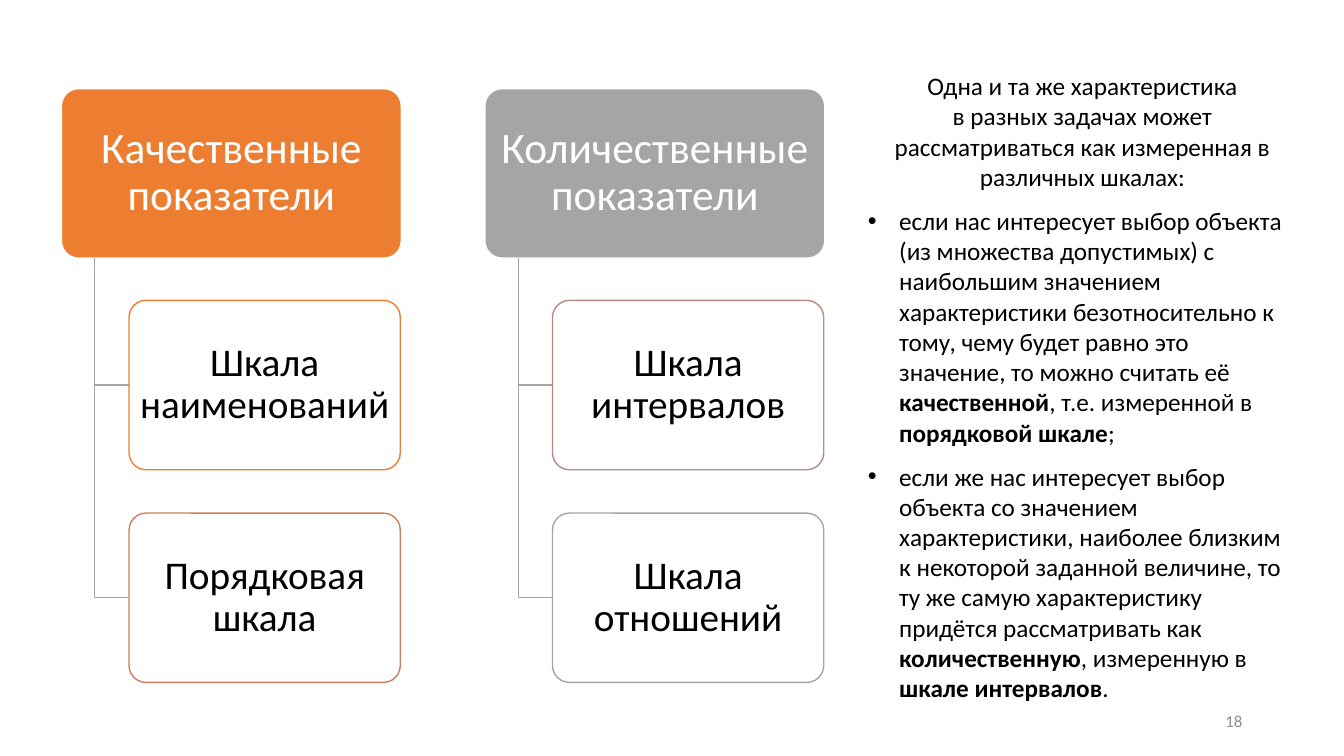
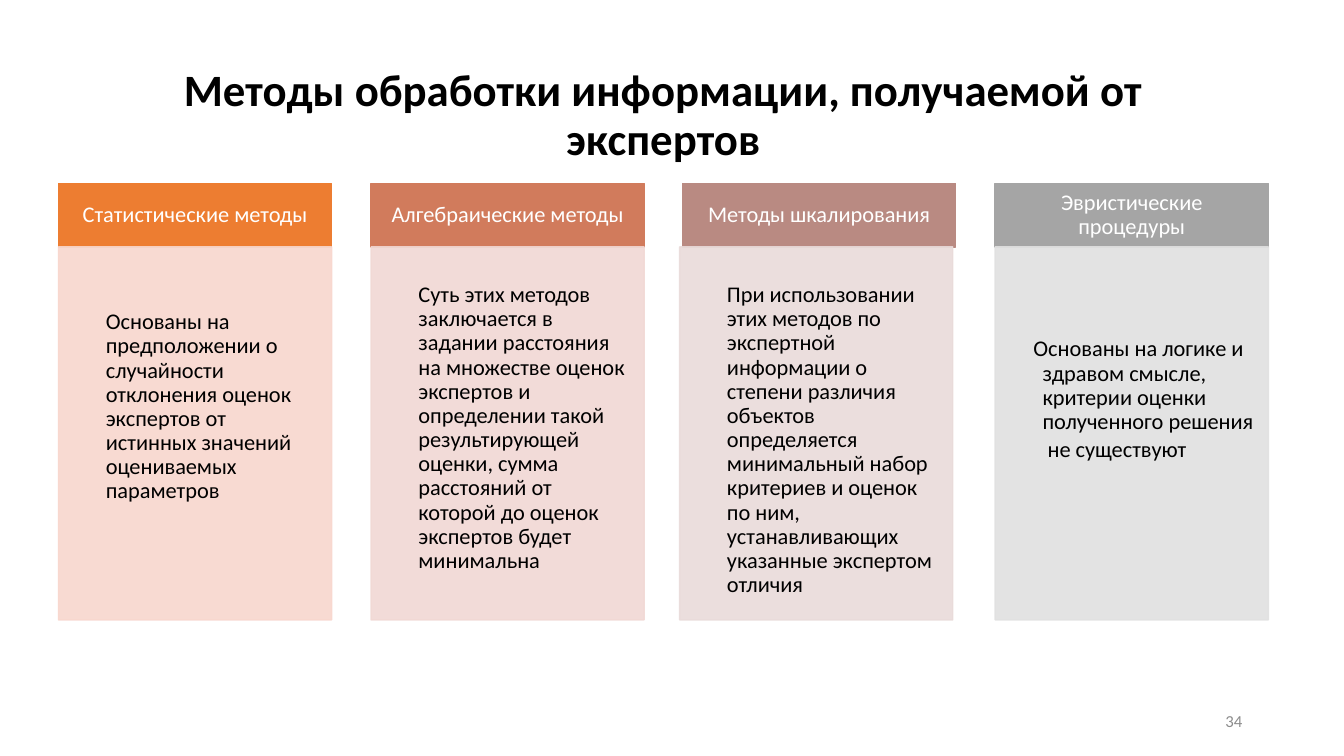
from lxml import etree
from pptx import Presentation
from pptx.dml.color import RGBColor
from pptx.enum.shapes import MSO_SHAPE
from pptx.enum.text import MSO_ANCHOR, PP_ALIGN
from pptx.oxml.ns import qn
from pptx.util import Pt

PX = 9144
FONT = "Calibri"
RECTANGLE = MSO_SHAPE.RECTANGLE
ROUNDED = MSO_SHAPE.ROUNDED_RECTANGLE
TOP, MIDDLE = MSO_ANCHOR.TOP, MSO_ANCHOR.MIDDLE
LEFT, CENTER, RIGHT = PP_ALIGN.LEFT, PP_ALIGN.CENTER, PP_ALIGN.RIGHT
COLORS = {
    "white": "FFFFFF", "black": "000000", "number": "8C8C8C",
    "orange": "ED7D31", "copper": "D17B5C", "rose": "B98A82", "gray": "A5A5A5",
    "orange_tint": "F8D7CE", "copper_tint": "F1D8D4",
    "rose_tint": "E9DBDA", "gray_tint": "E1E1E1",
}


def add_box(slide, place, insets, anchor=MIDDLE, kind=None, fill=None, line=None):
    position = [value * PX for value in place]
    if kind is None:
        shape = slide.shapes.add_textbox(*position)
    else:
        shape = slide.shapes.add_shape(kind, *position)
        shape.shadow.inherit = False
        shape.fill.solid()
        shape.fill.fore_color.rgb = RGBColor.from_string(COLORS[fill])
        shape.line.color.rgb = RGBColor.from_string(COLORS[line])
        shape.line.width = Pt(1)
    frame = shape.text_frame
    frame.word_wrap = True
    frame.vertical_anchor = anchor
    frame.margin_left, frame.margin_top, frame.margin_right, frame.margin_bottom = [
        value * PX for value in insets]
    return shape


def add_text(shape, runs, size, color="black", align=CENTER, spacing=0.9,
             before=0, left=0, indent=0, bullet=None):
    frame = shape.text_frame
    paragraph = frame.paragraphs[0] if not frame.text else frame.add_paragraph()
    paragraph.alignment = align
    paragraph.line_spacing = spacing
    paragraph.space_before = Pt(before)
    properties = paragraph._p.get_or_add_pPr()
    properties.set("marL", str(left * PX))
    properties.set("indent", str(indent * PX))
    if bullet:
        etree.SubElement(properties, qn("a:buFont"), typeface="Arial")
        etree.SubElement(properties, qn("a:buChar"), char=bullet)
    for text, bold in runs:
        run = paragraph.add_run()
        run.text = text
        run.font.name = FONT
        run.font.size = Pt(size)
        run.font.bold = bold
        run.font.color.rgb = RGBColor.from_string(COLORS[color])


presentation = Presentation()
presentation.slide_width = 1333 * PX
presentation.slide_height = 750 * PX
blank = presentation.slide_layouts[6]
scales_slide = presentation.slides.add_slide(blank)
methods_slide = presentation.slides.add_slide(blank)
TEXT_INSETS = (10, 5, 10, 5)

SCALE_INSETS = (6, 4, 6, 4)
BRANCH_HEIGHT = 168
scale_groups = [
    ("Качественные показатели", "orange",
     [("Шкала наименований", "orange"), ("Порядковая шкала", "copper")]),
    ("Количественные показатели", "gray",
     [("Шкала интервалов", "rose"), ("Шкала отношений", "gray")]),
]
for column, (heading, color, scales) in enumerate(scale_groups):
    x, y = 61 + 420 * column, 88
    root = add_box(scales_slide, (x, y, 337, BRANCH_HEIGHT), SCALE_INSETS,
                   kind=ROUNDED, fill=color, line="white")
    root.adjustments[0] = 0.1
    add_text(root, [(heading, False)], 31, "white")
    for row, (name, outline) in enumerate(scales, 1):
        scale_top = y + 421 * row // 2
        trunk_x, branch_x = x + 33, x + 67
        branch_y = scale_top + BRANCH_HEIGHT // 2
        builder = scales_slide.shapes.build_freeform(trunk_x, y + BRANCH_HEIGHT, PX)
        builder.add_line_segments([(trunk_x, branch_y), (branch_x, branch_y)], close=False)
        elbow = builder.convert_to_shape()
        elbow.shadow.inherit = False
        elbow.fill.background()
        elbow.line.color.rgb = RGBColor.from_string(COLORS["gray"])
        elbow.line.width = Pt(1)
        scale = add_box(scales_slide, (branch_x, scale_top, 269, BRANCH_HEIGHT),
                        SCALE_INSETS, kind=ROUNDED, fill="white", line=outline)
        scale.adjustments[0] = 0.1
        add_text(scale, [(name, False)], 28)

explanation = add_box(scales_slide, (851, 65, 445, 645), TEXT_INSETS, TOP)
for text in [
    "Одна и та же характеристика",
    "в разных задачах может рассматриваться как измеренная в различных шкалах:",
]:
    add_text(explanation, [(text, False)], 18, spacing=1.0)
for runs in [
    [("если нас интересует выбор объекта (из множества допустимых) с наибольшим "
      "значением характеристики безотносительно к тому, чему будет равно это "
      "значение, то можно считать её ", False),
     ("качественной", True), (", т.е. измеренной в ", False),
     ("порядковой шкале", True), (";", False)],
    [("если же нас интересует выбор объекта со значением характеристики, наиболее "
      "близким к некоторой заданной величине, то ту же самую характеристику "
      "придётся рассматривать как ", False),
     ("количественную", True), (", измеренную в ", False),
     ("шкале интервалов", True), (".", False)],
]:
    add_text(explanation, runs, 18, align=LEFT, spacing=1.0, before=9.8,
             left=31, indent=-31, bullet="•")

title = add_box(methods_slide, (83, 71, 1150, 89), TEXT_INSETS)
add_text(title, [("Методы обработки информации, получаемой от экспертов", True)], 32)

methods = [
    ("Статистические методы", "orange", 0, 63,
     [("Основаны на предположении о случайности отклонения оценок экспертов от "
       "истинных значений оцениваемых параметров", 38, 0)]),
    ("Алгебраические методы", "copper", 0, 36,
     [("Суть этих методов заключается в задании расстояния на множестве оценок "
       "экспертов и определении такой результирующей оценки, сумма расстояний от "
       "которой до оценок экспертов будет минимальна", 38, 0)]),
    ("Методы шкалирования", "rose", -3, 36,
     [("При использовании этих методов по экспертной информации о степени различия "
       "объектов определяется минимальный набор критериев и оценок по ним, "
       "устанавливающих указанные экспертом отличия", 38, 0)]),
    ("Эвристические процедуры", "gray", 0, 90,
     [("Основаны на логике и здравом смысле, критерии оценки полученного решения",
       38, -9),
      ("не существуют", 43, 0)]),
]
for column, (heading, color, shift, inset_top, paragraphs) in enumerate(methods):
    x = 58 + round(column * 929 / 3)
    header = add_box(methods_slide, (x, 182, 271, 63), (12, 7, 12, 7),
                     kind=RECTANGLE, fill=color, line=color)
    add_text(header, [(heading, False)], 16, "white")
    tint = color + "_tint"
    body = add_box(methods_slide, (x + shift, 245, 271, 370), (9, inset_top, 12, 14),
                   TOP, RECTANGLE, tint, tint)
    for paint in body._element.spPr.iter(qn("a:srgbClr")):
        etree.SubElement(paint, qn("a:alpha"), val="90000")
    for index, (text, left, indent) in enumerate(paragraphs):
        add_text(body, [(text, False)], 16, align=LEFT, left=left, indent=indent,
                 before=2.4 * index)

for slide, number in [(scales_slide, "18"), (methods_slide, "34")]:
    page_number = add_box(slide, (942, 695, 300, 40), TEXT_INSETS)
    add_text(page_number, [(number, False)], 12, "number", RIGHT, 1.0)

presentation.save("out.pptx")
